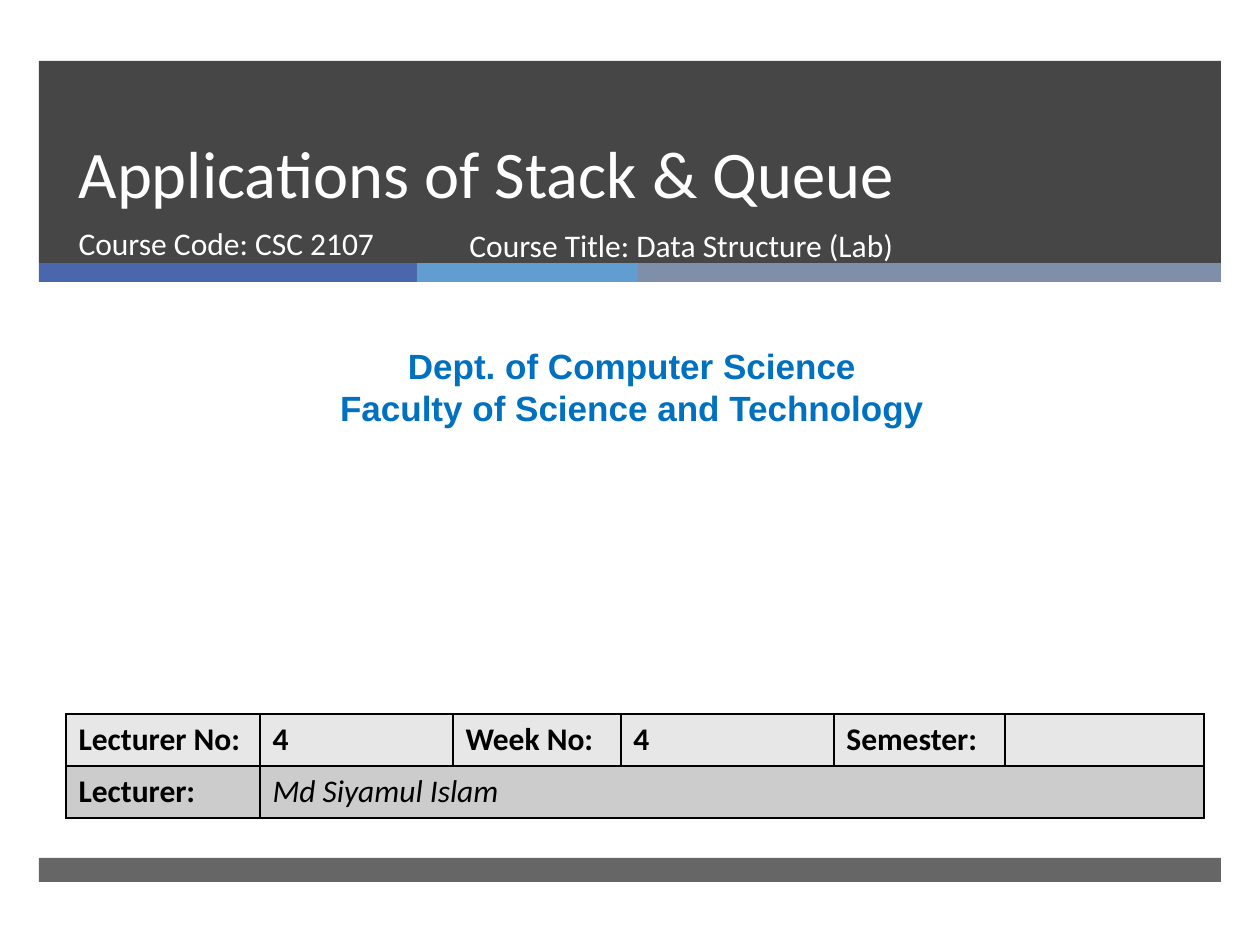
import pptx
import pptx.dml.color
import pptx.enum.shapes
import pptx.enum.text
import pptx.oxml
import pptx.oxml.ns
import pptx.util

SCALE = 914400 / 126
ALIGN = pptx.enum.text.PP_ALIGN
ANCHOR = pptx.enum.text.MSO_ANCHOR


def emu(px):
    return pptx.util.Emu(round(px * SCALE))


def color(value):
    return pptx.dml.color.RGBColor.from_string(value)


def set_values(target, values):
    for name, value in values.items():
        setattr(target, name, value)


class SlideBuilder:
    font_name = "Calibri"
    dark = "262626"
    border = "000000"

    def __init__(self, slide):
        self.slide = slide

    def add_lines(self, text_frame, lines, size, fill, align=ALIGN.LEFT, spacing=None, **font):
        for index, line in enumerate(lines):
            paragraph = text_frame.paragraphs[0] if index == 0 else text_frame.add_paragraph()
            set_values(paragraph, {
                "alignment": align,
                "space_before": pptx.util.Pt(0),
                "line_spacing": spacing,
            })
            run = paragraph.add_run()
            run.text = line
            values = {"name": self.font_name, "size": pptx.util.Pt(size), **font}
            set_values(run.font, values)
            run.font.color.rgb = color(fill)

    def bar(self, left, top, width, height, fill, opacity=100):
        shape = self.slide.shapes.add_shape(
            pptx.enum.shapes.MSO_SHAPE.RECTANGLE, *map(emu, (left, top, width, height)))
        shape.shadow.inherit = False
        shape.line.fill.background()
        shape.fill.solid()
        shape.fill.fore_color.rgb = color(fill)
        if opacity < 100:
            solid = shape._element.spPr.find(pptx.oxml.ns.qn("a:solidFill"))
            alpha = pptx.oxml.parse_xml(
                f'<a:alpha {pptx.oxml.ns.nsdecls("a")} val="{opacity * 1000}"/>')
            solid[0].append(alpha)

    def placeholder(self, index, box, lines, anchor, size, fill, **style):
        shape = self.slide.placeholders[index]
        set_values(shape, dict(zip(("left", "top", "width", "height"), map(emu, box))))
        tree = self.slide.shapes._spTree
        tree.remove(shape._element)
        tree.append(shape._element)
        self.format_frame(shape.text_frame, anchor)
        self.add_lines(shape.text_frame, lines, size, fill, **style)

    def text(self, box, lines, size, fill, **style):
        shape = self.slide.shapes.add_textbox(*map(emu, box))
        self.format_frame(shape.text_frame, ANCHOR.TOP)
        self.add_lines(shape.text_frame, lines, size, fill, **style)

    def format_frame(self, text_frame, anchor):
        set_values(text_frame, {
            "word_wrap": True,
            "auto_size": pptx.enum.text.MSO_AUTO_SIZE.NONE,
            "vertical_anchor": anchor,
        })

    def cell(self, cell, fill):
        properties = cell._tc.get_or_add_tcPr()
        for side in ("lnL", "lnR", "lnT", "lnB"):
            properties.append(pptx.oxml.parse_xml(
                f'<a:{side} {pptx.oxml.ns.nsdecls("a")} w="12700"><a:solidFill>'
                f'<a:srgbClr val="{self.border}"/></a:solidFill></a:{side}>'))
        cell.fill.solid()
        cell.fill.fore_color.rgb = color(fill)

    def table(self, left, top, widths, row_height, rows, fills):
        box = (left, top, sum(widths), row_height * len(rows))
        table = self.slide.shapes.add_table(len(rows), len(widths), *map(emu, box)).table
        for column, width in zip(table.columns, widths):
            column.width = emu(width)
        for row_index, (row, fill) in enumerate(zip(rows, fills)):
            table.rows[row_index].height = emu(row_height)
            for cell in table.rows[row_index].cells:
                self.cell(cell, fill)
            for column_index, (text, font) in enumerate(row):
                if text:
                    frame = table.cell(row_index, column_index).text_frame
                    self.add_lines(frame, [text], 18, "000000", **font)
        return table


def main():
    presentation = pptx.Presentation()
    set_values(presentation, {"slide_width": emu(1260), "slide_height": emu(945)})
    slide = presentation.slides.add_slide(presentation.slide_layouts[0])
    builder = SlideBuilder(slide)

    left, width = 39, 1182
    builder.bar(left, 61, width, 202, builder.dark, 85)
    stripe_left = left
    for stripe_width, fill in ((378, "4A66AC"), (221, "629DD1"), (583, "7F8FA9")):
        builder.bar(stripe_left, 263, stripe_width, 19, fill)
        stripe_left += stripe_width
    builder.bar(left, 858, width, 24, builder.dark, 70)

    builder.placeholder(0, (66, 68, 1076, 150), ["Applications of Stack & Queue"],
                        ANCHOR.BOTTOM, 38, "FFFFFF", spacing=pptx.util.Pt(46))
    builder.placeholder(1, (66, 218, 384, 67), ["Course Code: CSC 2107"],
                        ANCHOR.TOP, 18, "FFFFFF")
    builder.text((10, 338, 1244, 97),
                 ["Dept. of Computer Science", "Faculty of Science and Technology"],
                 20, "0070C0", align=ALIGN.CENTER, name="Arial", bold=True)

    bold = {"bold": True}
    plain_italic = {"bold": False, "italic": True}
    labels = ("Lecturer No:", "4", "Week No:", "4", "Semester:", "")
    rows = (
        [(label, bold) for label in labels],
        [("Lecturer:", bold), ("Md Siyamul Islam", plain_italic)],
    )
    table = builder.table(66, 714, (194, 193, 168, 213, 171, 199), 52, rows,
                          ("E7E7E7", "CCCCCC"))
    table.cell(1, 1).merge(table.cell(1, 5))

    builder.text((457, 220, 573, 67), ["Course Title: Data Structure (Lab)"], 18, "FFFFFF")
    presentation.save("out.pptx")


if __name__ == "__main__":
    main()
